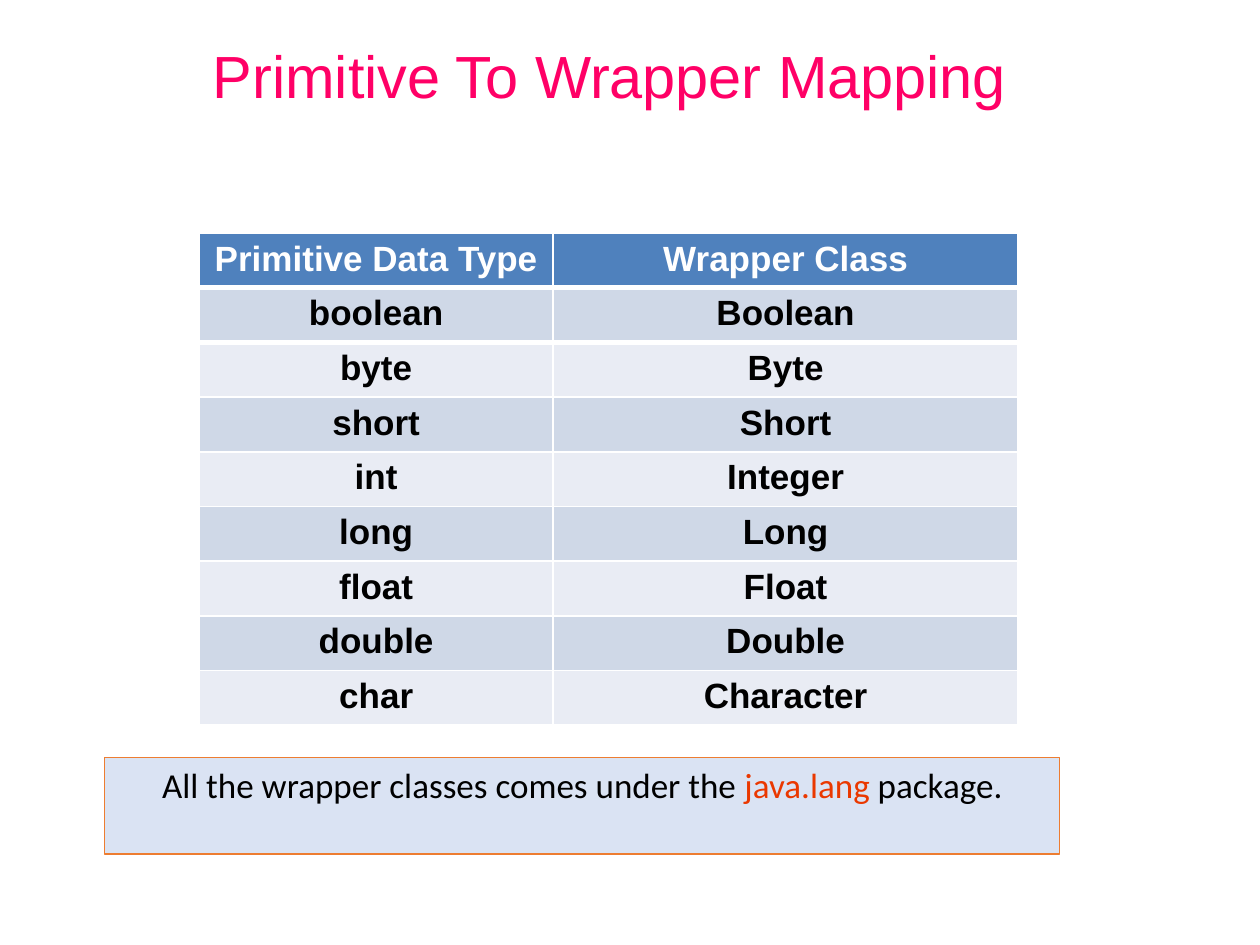
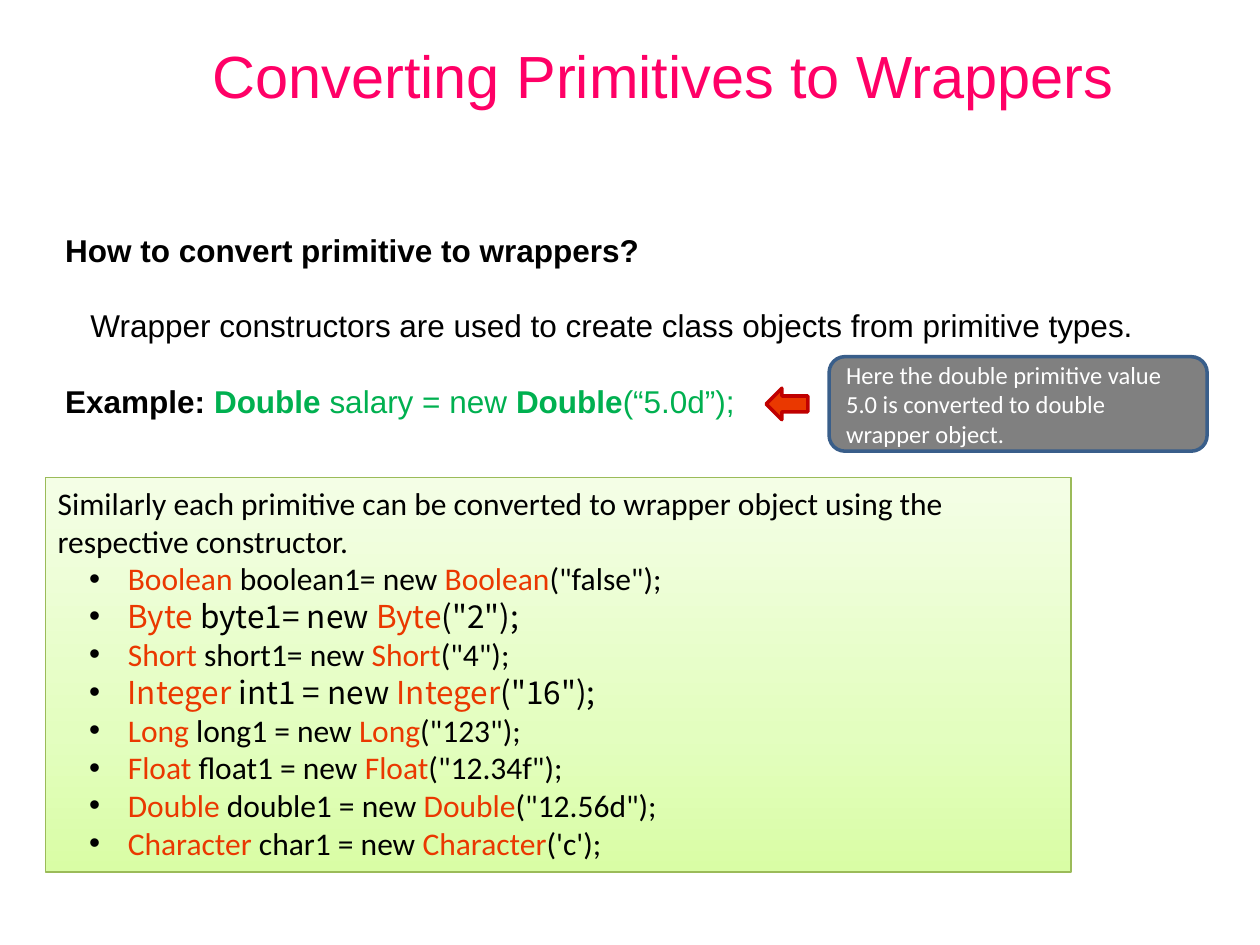
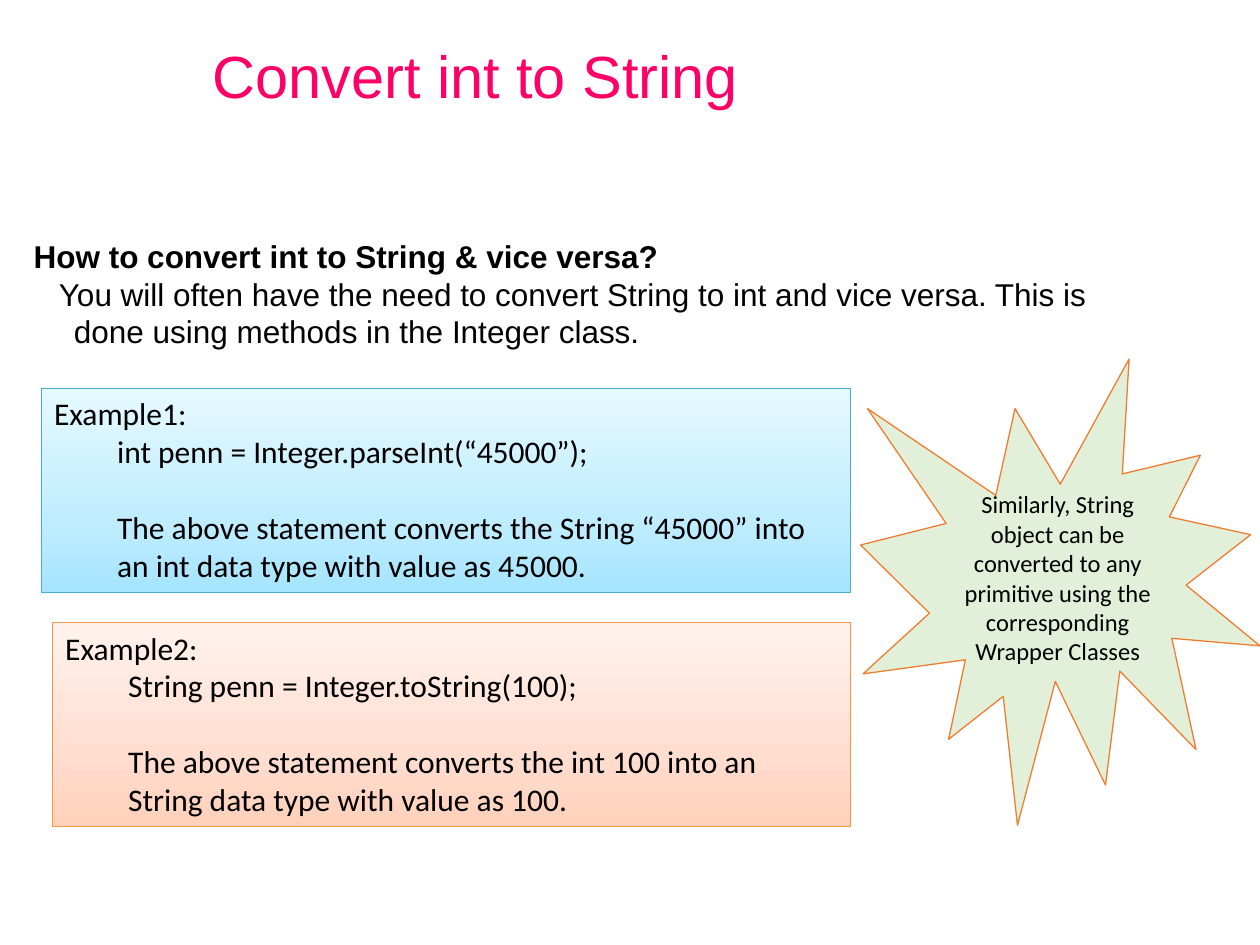
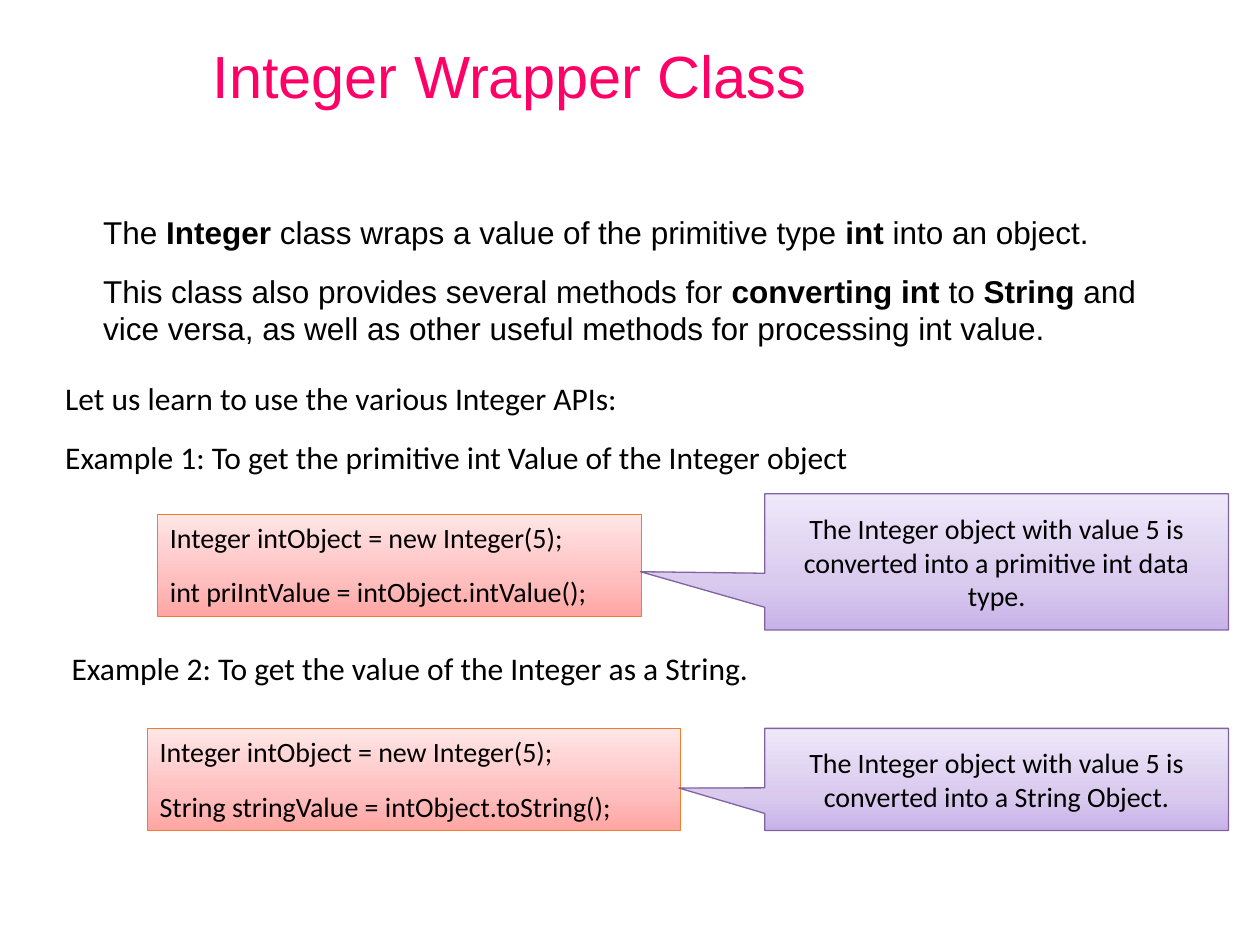
"""Build four slides about primitive types and wrapper classes."""
from copy import deepcopy
from dataclasses import dataclass
from typing import NamedTuple, Optional, Sequence, Union

from lxml.etree import SubElement
from pptx import Presentation
from pptx.dml.color import RGBColor
from pptx.enum.shapes import MSO_SHAPE as Preset
from pptx.enum.text import MSO_ANCHOR as Anchor, PP_ALIGN as Align
from pptx.oxml.ns import qn
from pptx.util import Pt

PINK = RGBColor(0xFF, 0x00, 0x66)
BLACK = RGBColor(0x00, 0x00, 0x00)
WHITE = RGBColor(0xFF, 0xFF, 0xFF)
GRAY = RGBColor(0x80, 0x80, 0x80)
RED = RGBColor(0xEA, 0x38, 0x00)
DARK_RED = RGBColor(0xC0, 0x00, 0x00)
GREEN = RGBColor(0x00, 0xB0, 0x50)
LIGHT_GREEN = RGBColor(0xE2, 0xF0, 0xD9)
LEAF = RGBColor(0x9B, 0xBB, 0x59)
NAVY = RGBColor(0x39, 0x5E, 0x8A)
TEAL = RGBColor(0x4B, 0xAC, 0xC6)
AMBER = RGBColor(0xF7, 0x96, 0x46)
ORANGE = RGBColor(0xED, 0x7D, 0x31)
PURPLE = RGBColor(0x80, 0x64, 0xA2)
LIGHT_BLUE = RGBColor(0xDA, 0xE3, 0xF3)
HEADER_BLUE = RGBColor(0x4F, 0x81, 0xBD)
BANDS = (RGBColor(0xCF, 0xD8, 0xE7), RGBColor(0xE9, 0xEC, 0xF4))

SANS = "Arial"
BODY = "Calibri"
CODE = "Noto Sans CJK JP"
LINE_RATIO = 1.2
BLANK_LINE = 18 * LINE_RATIO
GAP = 12


class Gradient(NamedTuple):
    bottom: RGBColor
    middle: RGBColor
    top: RGBColor


LIME_FADE = Gradient(RGBColor(0xD9, 0xFD, 0xA5), RGBColor(0xE3, 0xFE, 0xBF), RGBColor(0xF4, 0xFE, 0xE6))
SKY_FADE = Gradient(RGBColor(0xA6, 0xE4, 0xFF), RGBColor(0xBF, 0xED, 0xFF), RGBColor(0xE6, 0xF9, 0xFF))
PEACH_FADE = Gradient(RGBColor(0xFF, 0xD1, 0xBB), RGBColor(0xFF, 0xDD, 0xCF), RGBColor(0xFF, 0xF2, 0xED))
ROSE_FADE = Gradient(RGBColor(0xFF, 0xA5, 0xA3), RGBColor(0xFF, 0xBE, 0xBE), RGBColor(0xFF, 0xE6, 0xE6))
LILAC_FADE = Gradient(RGBColor(0xC8, 0xB3, 0xE9), RGBColor(0xD9, 0xCA, 0xEE), RGBColor(0xEF, 0xE8, 0xFA))


class Area(NamedTuple):
    left: float
    top: float
    width: float
    height: float

    def points(self) -> list:
        return [Pt(value) for value in self]


class Span(NamedTuple):
    text: str
    color: Optional[RGBColor] = None
    bold: bool = False
    font: Optional[str] = None


@dataclass(frozen=True)
class Para:
    spans: Sequence[Span]
    before: float = 0
    left: float = 0
    indent: float = 0
    bullet: bool = False


@dataclass(frozen=True)
class TextStyle:
    size: float = 18
    font: str = BODY
    color: RGBColor = BLACK
    align: Align = Align.LEFT
    anchor: Anchor = Anchor.TOP
    ratio: Optional[float] = None


@dataclass(frozen=True)
class Panel:
    area: Area
    fill: Union[RGBColor, Gradient]
    line: RGBColor
    preset: Preset = Preset.RECTANGLE
    weight: float = 0.75
    adjustments: Sequence[float] = ()


class Declaration(NamedTuple):
    wrapper: str
    variable: str
    argument: str
    font: str = BODY


class CodeExample(NamedTuple):
    area: Area
    lines: Sequence[str]
    callout: Area
    tip: Sequence[float]
    remark: str


TITLE_AREA = Area(114.5, 0.7, 605.5, 89.3)
TITLE_STYLE = TextStyle(34, SANS, PINK, anchor=Anchor.MIDDLE, ratio=0.9)
SANS_STYLE = TextStyle(font=SANS)
REMARK_STYLE = TextStyle(16, align=Align.CENTER, anchor=Anchor.MIDDLE)


def plain(text: str, **layout) -> Para:
    return Para([Span(text)], **layout)


def add_span(para, text: str, *, size: float, font: str, color: RGBColor, bold: bool = False) -> None:
    run = para.add_run()
    run.text = text
    run.font.size = Pt(size)
    run.font.name = font
    run.font.color.rgb = color
    run.font.bold = bold


def fill_frame(frame, paras: Sequence[Para], style: TextStyle) -> None:
    frame.word_wrap = True
    frame.vertical_anchor = style.anchor
    for index, item in enumerate(paras):
        para = frame.add_paragraph() if index else frame.paragraphs[0]
        para.alignment = style.align
        para.line_spacing = style.ratio or Pt(style.size * LINE_RATIO)
        para.space_before = Pt(item.before)
        properties = para._p.get_or_add_pPr()
        properties.set("marL", str(Pt(item.left)))
        properties.set("indent", str(Pt(item.indent)))
        if item.bullet:
            SubElement(properties, qn("a:buFont"), typeface=SANS)
            SubElement(properties, qn("a:buChar"), char="•")
        for span in item.spans:
            add_span(para, span.text, size=style.size, font=span.font or style.font,
                     color=span.color or style.color, bold=span.bold)


def add_text(page, area: Area, paras: Sequence[Para], style: TextStyle) -> None:
    fill_frame(page.shapes.add_textbox(*area.points()).text_frame, paras, style)


def paint(shape, fill: Union[RGBColor, Gradient]) -> None:
    if not isinstance(fill, Gradient):
        shape.fill.solid()
        shape.fill.fore_color.rgb = fill
        return
    shape.fill.gradient()
    shape.fill.gradient_angle = 90
    stop_list = shape._element.spPr.find(".//" + qn("a:gsLst"))
    stop_list.append(deepcopy(stop_list[0]))
    for stop, color, position in zip(shape.fill.gradient_stops, fill, (0, 0.35, 1)):
        stop.color.rgb = color
        stop.position = position


def add_panel(page, panel: Panel, paras: Sequence[Para] = (), style: TextStyle = TextStyle()) -> None:
    shape = page.shapes.add_shape(panel.preset, *panel.area.points())
    shape.shadow.inherit = False
    for index, value in enumerate(panel.adjustments):
        shape.adjustments[index] = value
    paint(shape, panel.fill)
    shape.line.color.rgb = panel.line
    shape.line.width = Pt(panel.weight)
    fill_frame(shape.text_frame, paras, style)


def add_page(deck, title: str):
    page = deck.slides.add_slide(deck.slide_layouts[6])
    add_text(page, TITLE_AREA, [plain(title)], TITLE_STYLE)
    return page


def add_border(cell, side: str, color: RGBColor, weight: float) -> None:
    properties = cell._tc.get_or_add_tcPr()
    border = SubElement(properties, qn(f"a:{side}"), w=str(Pt(weight)))
    SubElement(SubElement(border, qn("a:solidFill")), qn("a:srgbClr"), val=str(color))
    properties.insert(0, border)


def add_mapping_table(page, area: Area, widths: Sequence[float], rows: Sequence[Sequence[str]]) -> None:
    table = page.shapes.add_table(len(rows), len(widths), *area.points()).table
    for column, width in zip(table.columns, widths):
        column.width = Pt(width)
    for row_index, texts in enumerate(rows):
        table.rows[row_index].height = Pt(area.height / len(rows))
        header = row_index == 0
        style = TextStyle(20, SANS, WHITE if header else BLACK, Align.CENTER, ratio=1.0)
        for column_index, text in enumerate(texts):
            cell = table.cell(row_index, column_index)
            cell.fill.solid()
            cell.fill.fore_color.rgb = HEADER_BLUE if header else BANDS[(row_index - 1) % 2]
            if row_index < 2:
                add_border(cell, "lnB" if header else "lnT", WHITE, 3)
            fill_frame(cell.text_frame, [Para([Span(text, bold=True)])], style)


def declaration_para(item: Declaration) -> Para:
    spans = [Span(" "), Span(item.wrapper, RED), Span(f" {item.variable} new "),
             Span(item.wrapper, RED), Span(f"({item.argument});")]
    return Para([span._replace(font=item.font) for span in spans], left=36, indent=-18, bullet=True)


def build_mapping(deck) -> None:
    page = add_page(deck, "Primitive To Wrapper Mapping")
    primitives = ("boolean", "byte", "short", "int", "long", "float", "double", "char")
    full_names = {"int": "Integer", "char": "Character"}
    rows = [("Primitive Data Type", "Wrapper Class")]
    rows += [(name, full_names.get(name, name.capitalize())) for name in primitives]
    add_mapping_table(page, Area(113.8, 133.2, 468, 280.8), (202.3, 265.7), rows)
    note = Para([Span("All the wrapper classes comes under the "), Span("java.lang", RED), Span(" package.")])
    add_panel(page, Panel(Area(59.8, 432.7, 545.8, 55.4), LIGHT_BLUE, ORANGE), [note],
              TextStyle(20, align=Align.CENTER))


def build_primitives_to_wrappers(deck) -> None:
    page = add_page(deck, "Converting Primitives to Wrappers")
    add_text(page, Area(30.2, 128.2, 630, 116.6), [
        Para([Span("How to convert primitive to wrappers?", bold=True)]),
        plain("Wrapper constructors are used to create class objects from primitive types.",
              before=BLANK_LINE, left=14.4),
        Para([Span("Example: ", bold=True), Span("Double", GREEN, True), Span(" salary = new ", GREEN),
              Span("Double", GREEN, True), Span("(“5.0d”);", GREEN)], before=BLANK_LINE),
    ], SANS_STYLE)
    declarations = (
        Declaration("Boolean", "boolean1=", '"false"'),
        Declaration("Byte", "byte1=", '"2"', CODE),
        Declaration("Short", "short1=", '"4"'),
        Declaration("Integer", "int1 =", '"16"', CODE),
        Declaration("Long", "long1 =", '"123"'),
        Declaration("Float", "float1 =", '"12.34f"'),
        Declaration("Double", "double1 =", '"12.56d"'),
        Declaration("Character", "char1 =", "'c'"),
    )
    lead = plain("Similarly each primitive can be converted to wrapper object using the respective constructor.")
    add_panel(page, Panel(Area(25.9, 272.9, 586.1, 225.4), LIME_FADE, LEAF),
              [lead, *map(declaration_para, declarations)])
    add_panel(page, Panel(Area(437.8, 221.8, 23.8, 18), RED, DARK_RED, Preset.LEFT_ARROW, 2))
    add_panel(page, Panel(Area(473.8, 203.8, 216, 54), GRAY, NAVY, Preset.ROUNDED_RECTANGLE, 2),
              [plain("Here the double primitive value 5.0 is converted to double wrapper object.")],
              TextStyle(14, color=WHITE, anchor=Anchor.MIDDLE))


def build_int_to_string(deck) -> None:
    page = add_page(deck, "Convert int to String")
    add_text(page, Area(12.2, 131.8, 660.2, 94.3), [
        Para([Span("How to convert int to String & vice versa?", bold=True)]),
        plain("You will often have the need to convert String to int and vice versa. "
              "This is done using methods in the Integer class.", left=23, indent=-8.6),
    ], SANS_STYLE)
    examples = (
        (Panel(Area(23.8, 221.8, 462.2, 116.6), SKY_FADE, TEAL), "Example1:",
         "int penn = Integer.parseInt(“45000”);",
         "The above statement converts the String “45000” into an int data type with value as 45000."),
        (Panel(Area(30.2, 355.7, 455.8, 116.6), PEACH_FADE, AMBER), "Example2:",
         "String penn = Integer.toString(100);",
         "The above statement converts the int 100 into an String data type with value as 100."),
    )
    for panel, heading, code, meaning in examples:
        add_panel(page, panel, [plain(heading), plain(code, left=36),
                                plain(meaning, left=36, before=BLANK_LINE)])
    add_panel(page, Panel(Area(491.8, 205.2, 228.2, 266.4), LIGHT_GREEN, ORANGE, Preset.EXPLOSION1),
              [plain("Similarly, String object can be converted to any primitive "
                     "using the corresponding Wrapper Classes")],
              TextStyle(14, align=Align.CENTER, anchor=Anchor.MIDDLE))


def build_integer_class(deck) -> None:
    page = add_page(deck, "Integer Wrapper Class")
    add_text(page, Area(23.8, 118.1, 666, 390.2), [
        Para([Span("The "), Span("Integer", bold=True), Span(" class wraps a value of the primitive type "),
              Span("int", bold=True), Span(" into an object.")], before=GAP, left=28),
        Para([Span("This class also provides several methods for "), Span("converting int", bold=True),
              Span(" to "), Span("String", bold=True),
              Span(" and vice versa, as well as other useful methods for processing int value.")],
             before=GAP, left=28),
    ], SANS_STYLE)
    captions = (
        (Area(30.2, 213.1, 512.6, 63.4), ("Let us learn to use the various Integer APIs:",
                                          "Example 1: To get the primitive int Value of the Integer object")),
        (Area(33.8, 367.2, 617.8, 28.8), ("Example 2: To get the value of the Integer as a String.",)),
    )
    for area, lines in captions:
        add_text(page, area, [plain(line, before=GAP) for line in lines], TextStyle())
    creation = "Integer intObject = new Integer(5);"
    examples = (
        CodeExample(Area(90, 293.8, 276.5, 58.3), (creation, "int priIntValue = intObject.intValue();"),
                    Area(437, 282.2, 265, 77.8), (-0.768, 0.072),
                    "The Integer object with value 5 is converted into a primitive int data type."),
        CodeExample(Area(84.2, 416.2, 304.6, 58.3), (creation, "String stringValue = intObject.toString();"),
                    Area(437, 416.2, 265, 58.3), (-0.685, 0.085),
                    "The Integer object with value 5 is converted into a String Object."),
    )
    for example in examples:
        add_panel(page, Panel(example.area, ROSE_FADE, ORANGE),
                  [plain(line, before=GAP) for line in example.lines], TextStyle(16))
        add_panel(page, Panel(example.callout, LILAC_FADE, PURPLE, Preset.RECTANGULAR_CALLOUT,
                              adjustments=example.tip), [plain(example.remark)], REMARK_STYLE)


def main() -> None:
    deck = Presentation()
    deck.slide_width, deck.slide_height = Pt(720), Pt(540)
    for build in (build_mapping, build_primitives_to_wrappers, build_int_to_string, build_integer_class):
        build(deck)
    deck.save("out.pptx")


main()
